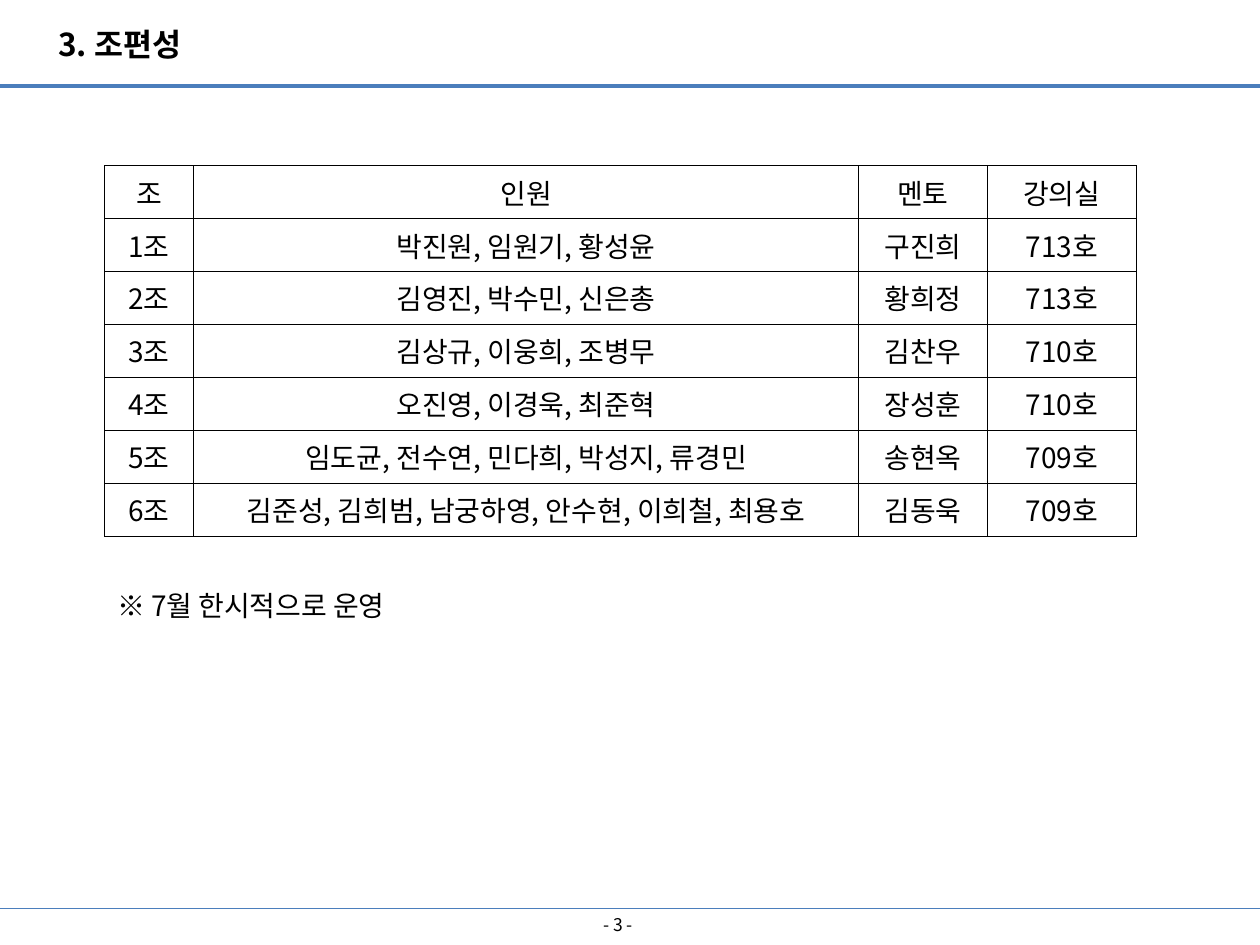
from typing import NamedTuple

from lxml import etree
from pptx import Presentation
from pptx.dml.color import RGBColor
from pptx.enum.shapes import MSO_CONNECTOR
from pptx.enum.text import MSO_ANCHOR, MSO_AUTO_SIZE, PP_ALIGN
from pptx.oxml import parse_xml
from pptx.oxml.ns import nsdecls, qn
from pptx.util import Pt

STRAIGHT = MSO_CONNECTOR.STRAIGHT
TOP, MIDDLE = MSO_ANCHOR.TOP, MSO_ANCHOR.MIDDLE
LEFT, CENTER = PP_ALIGN.LEFT, PP_ALIGN.CENTER
NO_AUTOFIT = MSO_AUTO_SIZE.NONE

BLACK = RGBColor(0x00, 0x00, 0x00)
RULE_BLUE = RGBColor(0x4B, 0x7E, 0xBC)
FONT = "Noto Sans CJK KR"
SLIDE_WIDTH, SLIDE_HEIGHT = 720, 540
TITLE_ONLY = 5

TABLE_LEFT, TABLE_TOP = 59.6, 94.5
COLUMN_WIDTHS = (51, 380, 73.6, 85.2)
ROW_HEIGHT = 29.2
BORDER_WIDTH = 0.25


class Rule(NamedTuple):
    """A horizontal line across the slide."""
    top: float
    weight: float


class Group(NamedTuple):
    """One row of the group table."""
    name: str
    members: str
    mentor: str
    room: str


RULES = (Rule(49, 2.25), Rule(519.2, 0.75))
GROUPS = (
    Group("조", "인원", "멘토", "강의실"),
    Group("1조", "박진원, 임원기, 황성윤", "구진희", "713호"),
    Group("2조", "김영진, 박수민, 신은총", "황희정", "713호"),
    Group("3조", "김상규, 이웅희, 조병무", "김찬우", "710호"),
    Group("4조", "오진영, 이경욱, 최준혁", "장성훈", "710호"),
    Group("5조", "임도균, 전수연, 민다희, 박성지, 류경민", "송현옥", "709호"),
    Group("6조", "김준성, 김희범, 남궁하영, 안수현, 이희철, 최용호", "김동욱", "709호"),
)


def write_text(frame, text: str, *, size: float = 16, bold: bool = False,
               alignment=LEFT) -> None:
    """Fill a text frame with one formatted paragraph."""
    paragraph = frame.paragraphs[0]
    paragraph.alignment = alignment
    run = paragraph.add_run()
    run.text = text
    run.font.name = FONT
    run.font.size = Pt(size)
    run.font.bold = bold
    run.font.color.rgb = BLACK
    east_asian = etree.SubElement(run.font._element, qn("a:ea"))
    east_asian.set("typeface", FONT)


def place_text(shape, left: float, top: float, width: float, height: float,
               text: str, *, anchor=TOP, wrap: bool = False, **text_format) -> None:
    """Position a text shape and write its text."""
    shape.left, shape.top = Pt(left), Pt(top)
    shape.width, shape.height = Pt(width), Pt(height)
    frame = shape.text_frame
    frame.auto_size = NO_AUTOFIT
    frame.word_wrap = wrap
    frame.vertical_anchor = anchor
    write_text(frame, text, **text_format)


def add_rule(slide, rule: Rule) -> None:
    """Draw a full-width blue line."""
    line = slide.shapes.add_connector(
        STRAIGHT, Pt(0), Pt(rule.top), Pt(SLIDE_WIDTH), Pt(rule.top))
    line.line.color.rgb = RULE_BLUE
    line.line.width = Pt(rule.weight)
    etree.SubElement(line._element.spPr, qn("a:effectLst"))


def set_borders(cell) -> None:
    """Give a cell a thin black border on all four sides."""
    properties = cell._tc.get_or_add_tcPr()
    for index, side in enumerate(("lnL", "lnR", "lnT", "lnB")):
        properties.insert(index, parse_xml(
            f'<a:{side} {nsdecls("a")} w="{Pt(BORDER_WIDTH)}"><a:solidFill>'
            f'<a:srgbClr val="{BLACK}"/></a:solidFill></a:{side}>'))


def add_group_table(slide) -> None:
    """Build the table of groups, members, mentors and rooms."""
    table = slide.shapes.add_table(
        len(GROUPS), len(COLUMN_WIDTHS), Pt(TABLE_LEFT), Pt(TABLE_TOP),
        Pt(sum(COLUMN_WIDTHS)), Pt(ROW_HEIGHT * len(GROUPS))).table
    table.first_row = table.horz_banding = False
    for column, width in zip(table.columns, COLUMN_WIDTHS):
        column.width = Pt(width)
    for row, group in zip(table.rows, GROUPS):
        row.height = Pt(ROW_HEIGHT)
        for cell, text in zip(row.cells, group):
            cell.fill.background()
            set_borders(cell)
            write_text(cell.text_frame, text, alignment=CENTER)


def add_text_box(slide, *box, **text_format) -> None:
    """Add a text box with the given place and text."""
    shape = slide.shapes.add_textbox(0, 0, 0, 0)
    place_text(shape, *box, **text_format)


def main() -> None:
    """Build and save the presentation."""
    presentation = Presentation()
    presentation.slide_width = Pt(SLIDE_WIDTH)
    presentation.slide_height = Pt(SLIDE_HEIGHT)
    slide = presentation.slides.add_slide(presentation.slide_layouts[TITLE_ONLY])
    for rule in RULES:
        add_rule(slide, rule)
    place_text(slide.shapes.title, 26, 10.8, 90.7, 29, "3. 조편성", size=18, bold=True)
    add_text_box(slide, 269.3, 519.2, 167.8, 18.7, "- 3 -",
                 anchor=MIDDLE, wrap=True, size=10, alignment=CENTER)
    add_group_table(slide)
    add_text_box(slide, 59.8, 332.6, 182.9, 26.6, "※ 7월 한시적으로 운영")
    presentation.save("out.pptx")


main()
